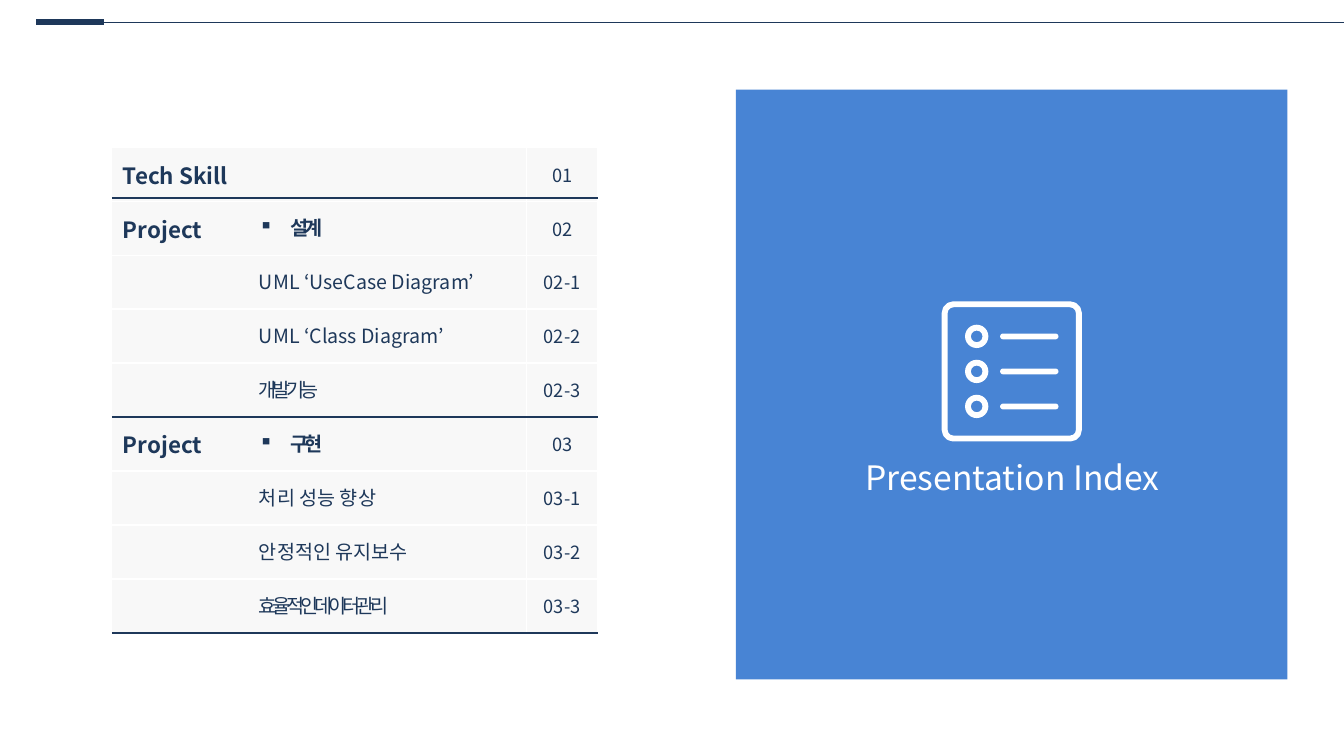
from collections import namedtuple
from lxml.etree import SubElement
from pptx import Presentation
from pptx.dml.color import RGBColor
from pptx.enum.shapes import MSO_CONNECTOR as Line, MSO_SHAPE as Kind
from pptx.enum.text import MSO_ANCHOR as Anchor, MSO_AUTO_SIZE as Fit, PP_ALIGN as Align
from pptx.oxml import parse_xml
from pptx.oxml.ns import nsdecls, qn
from pptx.util import Inches, Pt

NAVY = RGBColor(0x1E, 0x38, 0x5A)
BLUE = RGBColor(0x48, 0x84, 0xD4)
PALE = RGBColor(0xF2, 0xF2, 0xF2)
WHITE = RGBColor(0xFF, 0xFF, 0xFF)
FONT = "Noto Sans CJK KR"
WIDE, HIGH = 13.33, 7.5

Box = namedtuple("Box", "x y w h")
Item = namedtuple("Item", "text wide bold tight left", defaults=(False, False, False))

# Heading, number and topic of each row
ROWS = [
    ("Tech Skill", "01", None),
    ("Project", "02", Item("설계", 1.05, bold=True, tight=True)),
    ("", "02-1", Item("UML ‘UseCase Diagram’", 2.55, left=True)),
    ("", "02-2", Item("UML ‘Class Diagram’", 2.41, left=True)),
    ("", "02-3", Item("개발기능", 1.05, tight=True)),
    ("Project", "03", Item("구 현", 1.05, bold=True, tight=True)),
    ("", "03-1", Item("처리 성능 향상", 1.45)),
    ("", "03-2", Item("안정적인 유지보수", 1.95)),
    ("", "03-3", Item("효율적인 데이터 관리", 2.35, tight=True)),
]
RULES = (0.95, 5, 9)


def style(para, size, color, bold=False, tight=False):
    for run in para.runs:
        font = run.font
        font.size, font.bold, font.name = Pt(size), bold, FONT
        font.color.rgb = color
        props = run._r.get_or_add_rPr()
        SubElement(props, qn("a:ea")).set("typeface", FONT)
        if tight:
            props.set("spc", "-300")


def add_line(slide, x, y, end, width):
    line = slide.shapes.add_connector(
        Line.STRAIGHT, Inches(x), Inches(y), Inches(end), Inches(y))
    line.line.color.rgb = NAVY
    line.line.width = Pt(width)
    SubElement(line._element.spPr, qn("a:effectLst"))


def add_shape(slide, kind, box, color):
    shape = slide.shapes.add_shape(kind, *map(Inches, box))
    shape.shadow.inherit = False
    shape.fill.solid()
    shape.fill.fore_color.rgb = color
    shape.line.fill.background()
    return shape


def add_text(slide, box, text):
    frame = slide.shapes.add_textbox(*map(Inches, box)).text_frame
    frame.word_wrap = True
    frame.auto_size = Fit.SHAPE_TO_FIT_TEXT
    frame.text = text
    return frame


def set_cell(cell, text, size, bold, align):
    """Fill one cell with half-clear grey, white edges and its text."""
    cell.fill.solid()
    cell.fill.fore_color.rgb = PALE
    props = cell._tc.get_or_add_tcPr()
    SubElement(props.find(".//" + qn("a:srgbClr")), qn("a:alpha")).set("val", "50000")
    for i, side in enumerate("LRTB"):
        props.insert(i, parse_xml(
            f'<a:ln{side} {nsdecls("a")} w="12700"><a:solidFill>'
            f'<a:srgbClr val="{WHITE}"/></a:solidFill></a:ln{side}>'))
    if text:
        cell.margin_left = cell.margin_right = Inches(0.11)
        cell.margin_top = cell.margin_bottom = Inches(0.11)
        cell.vertical_anchor = Anchor.MIDDLE
        cell.text = text
        para = cell.text_frame.paragraphs[0]
        para.alignment = align
        style(para, size, NAVY, bold)


def add_table(slide, box):
    table = slide.shapes.add_table(len(ROWS), 2, *map(Inches, box)).table
    table.first_row = table.horz_banding = False
    for col, share in zip(table.columns, (0.853, 0.147)):
        col.width = Inches(box.w * share)
    for i, (head, num, _) in enumerate(ROWS):
        table.rows[i].height = Inches(box.h / len(ROWS))
        set_cell(table.cell(i, 0), head, 16, True, Align.LEFT)
        set_cell(table.cell(i, 1), num, 13, False, Align.CENTER)


def add_topics(slide, box):
    row, high = box.h / len(ROWS), 0.34
    for i, (_, _, item) in enumerate(ROWS):
        if item is None:
            continue
        top = box.y + i * row + (row - high) / 2
        frame = add_text(slide, Box(box.x + 1.36, top, item.wide, high), item.text)
        para = frame.paragraphs[0]
        para.alignment = Align.LEFT if item.left else Align.JUSTIFY
        style(para, 14, NAVY, item.bold, item.tight)
        if item.bold:
            props = para._p.get_or_add_pPr()
            props.set("marL", str(Inches(0.31)))
            props.set("indent", str(-Inches(0.31)))
            SubElement(props, qn("a:buChar")).set("char", "▪")
    for at in RULES:
        add_line(slide, box.x, box.y + at * row, box.x + box.w, 1.5)


def add_icon(slide, box):
    """Draw a framed list of three rings and bars."""
    thick = box.w / 24
    frame = slide.shapes.add_shape(Kind.ROUNDED_RECTANGLE, *map(Inches, (
        box.x + thick / 2, box.y + thick / 2, box.w - thick, box.h - thick)))
    frame.shadow.inherit = False
    frame.adjustments[0] = 0.065
    frame.fill.background()
    frame.line.color.rgb = WHITE
    frame.line.width = Inches(thick)
    ring = 4 * thick
    for i in range(3):
        mid = box.y + box.h * (i + 1) / 4
        donut = add_shape(slide, Kind.DONUT, Box(
            box.x + ring, mid - ring / 2, ring, ring), WHITE)
        donut.adjustments[0] = 0.25
        bar = add_shape(slide, Kind.ROUNDED_RECTANGLE, Box(
            box.x + 10 * thick, mid - thick / 2, 10 * thick, thick), WHITE)
        bar.adjustments[0] = 0.5


def add_panel(slide, box):
    add_shape(slide, Kind.RECTANGLE, box, BLUE)
    mid, side = box.x + box.w / 2, 1.39
    add_icon(slide, Box(mid - side / 2, box.y + 2.1, side, side))
    frame = add_text(slide, Box(mid - 1.53, box.y + 3.64, 3.07, 0.4),
                     "Presentation Index")
    frame.margin_left = frame.margin_right = 0
    frame.margin_top = frame.margin_bottom = 0
    frame.vertical_anchor = Anchor.MIDDLE
    para = frame.paragraphs[0]
    para.alignment = Align.CENTER
    style(para, 24, WHITE)


def add_header(slide, x, y):
    add_line(slide, x, y, WIDE, 0.5)
    add_line(slide, x, y, x + 0.67, 4.5)


def main():
    deck = Presentation()
    deck.slide_width, deck.slide_height = Inches(WIDE), Inches(HIGH)
    slide = deck.slides.add_slide(deck.slide_layouts[6])
    index = Box(1.11, 1.46, 4.82, 4.82)
    add_panel(slide, Box(7.3, 0.89, 5.47, 5.85))
    add_table(slide, index)
    add_header(slide, 0.36, 0.22)
    add_topics(slide, index)
    deck.save("out.pptx")


if __name__ == "__main__":
    main()
